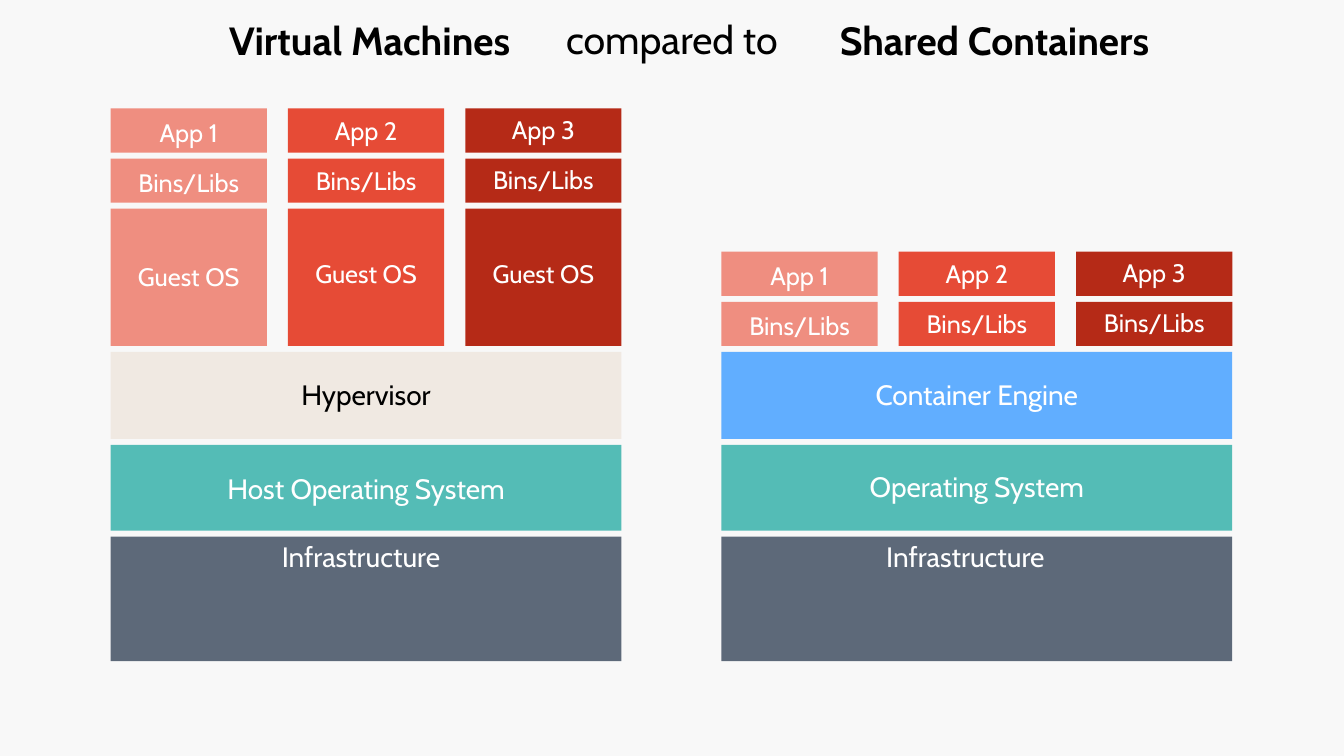
import pptx
import pptx.dml.color
import pptx.enum.shapes
import pptx.enum.text
import pptx.util

Pt = pptx.util.Pt
FONT = "Cabin"
WHITE, BLACK = "FFFFFF", "000000"

# Titles: text, left, top, width, bold
TITLES = [
    ("Virtual Machines", 159.8, 8.6, 242, True),
    ("compared to", 405.4, 7.9, 178, False),
    ("Shared Containers", 604.8, 8.6, 264, True),
]

# App columns: number, colour, label drop
COLUMNS = [(1, "EF8E80", 2.9), (2, "E64B36", 1.4), (3, "B52A17", 0.7)]

# Each stack runs from the bottom upwards
# Layers: label, height, fill, font colour, label drop, label shift to the left
# Cells: label, height, extra label drop
STACKS = [
    {
        "left": 80.6,
        "layers": [
            ("Infrastructure", 90.7, "5D6979", WHITE, -1.4, 3.6),
            ("Host Operating System", 62.6, "54BCB6", WHITE, 15.8, 0),
            ("Hypervisor", 63.4, "F0E9E2", BLACK, 15.1, 0),
        ],
        "cells": [("Guest OS", 100.1, 31.5), ("Bins/Libs", 32.2, 0), ("App {}", 32.2, 0)],
    },
    {
        "left": 525.6,
        "layers": [
            ("Infrastructure", 90.7, "5D6979", WHITE, -1.4, 8.3),
            ("Operating System", 62.6, "54BCB6", WHITE, 14.4, 0),
            ("Container Engine", 63.4, "61AEFF", WHITE, 15.1, 0),
        ],
        "cells": [("Bins/Libs", 32.2, 0), ("App {}", 32.2, 0)],
    },
]

STACK_BOTTOM, GAP = 481.7, 4.3
CELL_WIDTH, COLUMN_STEP = 113.8, 129.2
LAYER_WIDTH = CELL_WIDTH + COLUMN_STEP * (len(COLUMNS) - 1)
SIDE_INSET, TOP_INSET = 7.2, 3.6


def rgb(value):
    return pptx.dml.color.RGBColor.from_string(value)


def set_text(shape, text, size, color, bold=False):
    paragraph = shape.text_frame.paragraphs[0]
    paragraph.text = text
    paragraph.font.name = FONT
    paragraph.font.size = Pt(size)
    paragraph.font.bold = bold
    paragraph.font.color.rgb = rgb(color)
    return paragraph


def add_block(slide, left, top, width, height, fill, text, size, color, drop, shift=0):
    shape = slide.shapes.add_shape(
        pptx.enum.shapes.MSO_SHAPE.RECTANGLE, Pt(left), Pt(top), Pt(width), Pt(height))
    shape.shadow.inherit = False
    shape.fill.solid()
    shape.fill.fore_color.rgb = rgb(fill)
    shape.line.fill.background()
    frame = shape.text_frame
    frame.word_wrap = True
    frame.vertical_anchor = pptx.enum.text.MSO_ANCHOR.TOP
    frame.margin_top = Pt(TOP_INSET + drop)
    frame.margin_bottom = Pt(0)
    frame.margin_left = Pt(SIDE_INSET)
    frame.margin_right = Pt(SIDE_INSET + 2 * shift)
    paragraph = set_text(shape, text, size, color)
    paragraph.alignment = pptx.enum.text.PP_ALIGN.CENTER


def add_stack(slide, left, layers, cells):
    bottom = STACK_BOTTOM
    # Shared layers
    for text, height, fill, color, drop, shift in layers:
        add_block(slide, left, bottom - height, LAYER_WIDTH, height,
                  fill, text, 20.4, color, drop, shift)
        bottom -= height + GAP
    # One cell per app
    for text, height, extra_drop in cells:
        for index, (number, fill, drop) in enumerate(COLUMNS):
            add_block(slide, left + index * COLUMN_STEP, bottom - height, CELL_WIDTH, height,
                      fill, text.format(number), 18.4, WHITE, drop + extra_drop)
        bottom -= height + GAP


def main():
    presentation = pptx.Presentation()
    presentation.slide_width = Pt(979.2)
    presentation.slide_height = Pt(550.8)
    slide = presentation.slides.add_slide(presentation.slide_layouts[6])
    slide.background.fill.solid()
    slide.background.fill.fore_color.rgb = rgb("F8F8F8")

    # Title line
    for text, left, top, width, bold in TITLES:
        box = slide.shapes.add_textbox(Pt(left), Pt(top), Pt(width), Pt(41.8))
        box.text_frame.word_wrap = False
        set_text(box, text, 28.6, BLACK, bold)

    # Two stacks
    for stack in STACKS:
        add_stack(slide, **stack)

    presentation.save("out.pptx")


if __name__ == "__main__":
    main()
